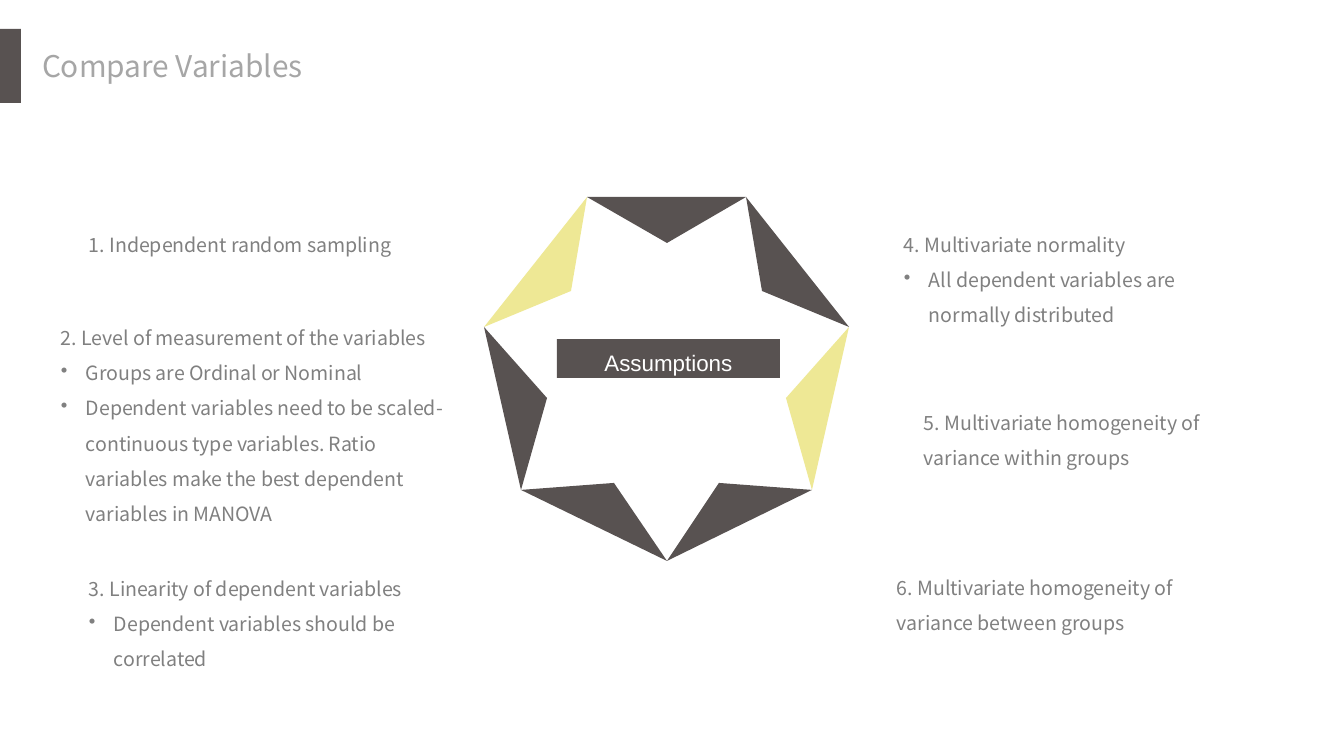
from pptx import Presentation
from pptx.dml.color import RGBColor as RGB
from pptx.enum.shapes import MSO_SHAPE as SHAPE
from pptx.enum.text import MSO_ANCHOR as ANCHOR, MSO_AUTO_SIZE as AUTO, PP_ALIGN as ALIGN
from pptx.oxml.ns import qn
from pptx.util import Pt
from lxml import etree

SCALE = 914400 / 134.4
COLORS = {"dark": "585251", "yellow": "EEE895", "title": "A6A6A6",
          "body": "808080", "white": "FFFFFF"}
BODY_FONT = "Noto Sans CJK SC"


def px(*lengths):
    return [round(length * SCALE) for length in lengths]


def style(frame, size, font, color, spacing=1.0, align=ALIGN.LEFT):
    frame.margin_left = frame.margin_right = px(10)[0]
    frame.margin_top = frame.margin_bottom = px(5)[0]
    frame.vertical_anchor = ANCHOR.TOP
    for paragraph in frame.paragraphs:
        paragraph.alignment = align
        paragraph.line_spacing = spacing
        for run in paragraph.runs:
            run.font.size = Pt(size)
            run.font.name = font
            run.font.color.rgb = RGB.from_string(COLORS[color])


prs = Presentation()
prs.slide_width, prs.slide_height = px(1344, 756)
slide = prs.slides.add_slide(prs.slide_layouts[5])
shapes = slide.shapes

heading = shapes.title
heading.left, heading.top, heading.width, heading.height = px(32, 43, 290, 47)
heading.text_frame.text = "Compare Variables"
heading.text_frame.word_wrap = False
heading.text_frame.auto_size = AUTO.SHAPE_TO_FIT_TEXT
style(heading.text_frame, 16, BODY_FONT, "title")

accent = shapes.add_shape(SHAPE.RECTANGLE, *px(0, 29, 21, 74))
center_label = shapes.add_shape(SHAPE.RECTANGLE, *px(557, 339, 223, 39))
center_label.text_frame.text = "Assumptions"
center_label.text_frame.word_wrap = True
style(center_label.text_frame, 12, "Arial", "white", 1.2, ALIGN.CENTER)
for bar in (accent, center_label):
    bar.shadow.inherit = False
    bar.fill.solid()
    bar.fill.fore_color.rgb = RGB.from_string(COLORS["dark"])
    bar.line.fill.background()

corners = [(667, 561), (521, 490), (484, 327), (587, 197),
           (746, 197), (849, 327), (812, 490)]
inner_tips = [(614, 483), (547, 398), (571, 291), (667, 243),
              (762, 291), (786, 398), (719, 483)]
yellow_sides = (2, 5)
for side, (corner, tip) in enumerate(zip(corners, inner_tips)):
    next_corner = corners[(side + 1) % len(corners)]
    builder = shapes.build_freeform(*corner, scale=SCALE)
    builder.add_line_segments([next_corner, tip], close=True)
    blade = builder.convert_to_shape()
    blade.shadow.inherit = False
    blade.fill.solid()
    color = "yellow" if side in yellow_sides else "dark"
    blade.fill.fore_color.rgb = RGB.from_string(COLORS[color])
    blade.line.fill.background()

assumptions = [
    ((79, 216, 347, 46), "1. Independent random sampling", []),
    ((51, 309, 414, 224), "2. Level of measurement of the variables",
     ["Groups are Ordinal or Nominal",
      "Dependent variables need to be scaled-continuous type variables. "
      "Ratio variables make the best dependent variables in MANOVA"]),
    ((79, 560, 347, 117), "3. Linearity of dependent variables",
     ["Dependent variables should be correlated"]),
    ((894, 216, 349, 113), "4. Multivariate normality",
     ["All dependent variables are normally distributed"]),
    ((914, 394, 331, 82),
     "5. Multivariate homogeneity of variance within groups", []),
    ((887, 559, 356, 82),
     "6. Multivariate homogeneity of variance between groups", []),
]
indent = px(25)[0]
for place, assumption, details in assumptions:
    frame = shapes.add_textbox(*px(*place)).text_frame
    frame.word_wrap = True
    frame.auto_size = AUTO.SHAPE_TO_FIT_TEXT
    frame.text = assumption
    for detail in details:
        paragraph = frame.add_paragraph()
        paragraph.text = detail
        properties = paragraph._p.get_or_add_pPr()
        properties.set("marL", str(indent))
        properties.set("indent", str(-indent))
        etree.SubElement(properties, qn("a:buChar")).set("char", "•")
    style(frame, 10.5, BODY_FONT, "body", 1.5)

prs.save("out.pptx")
